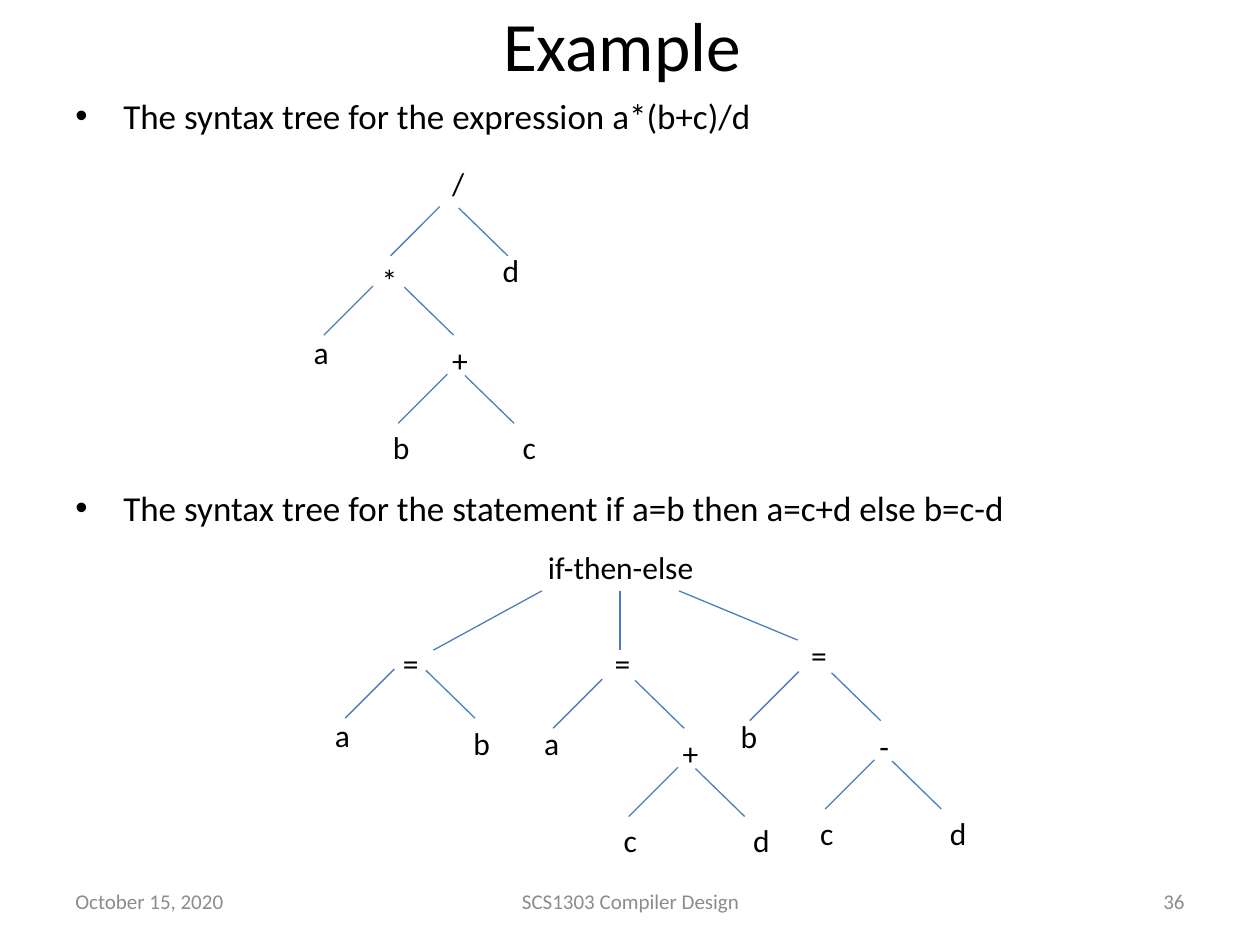
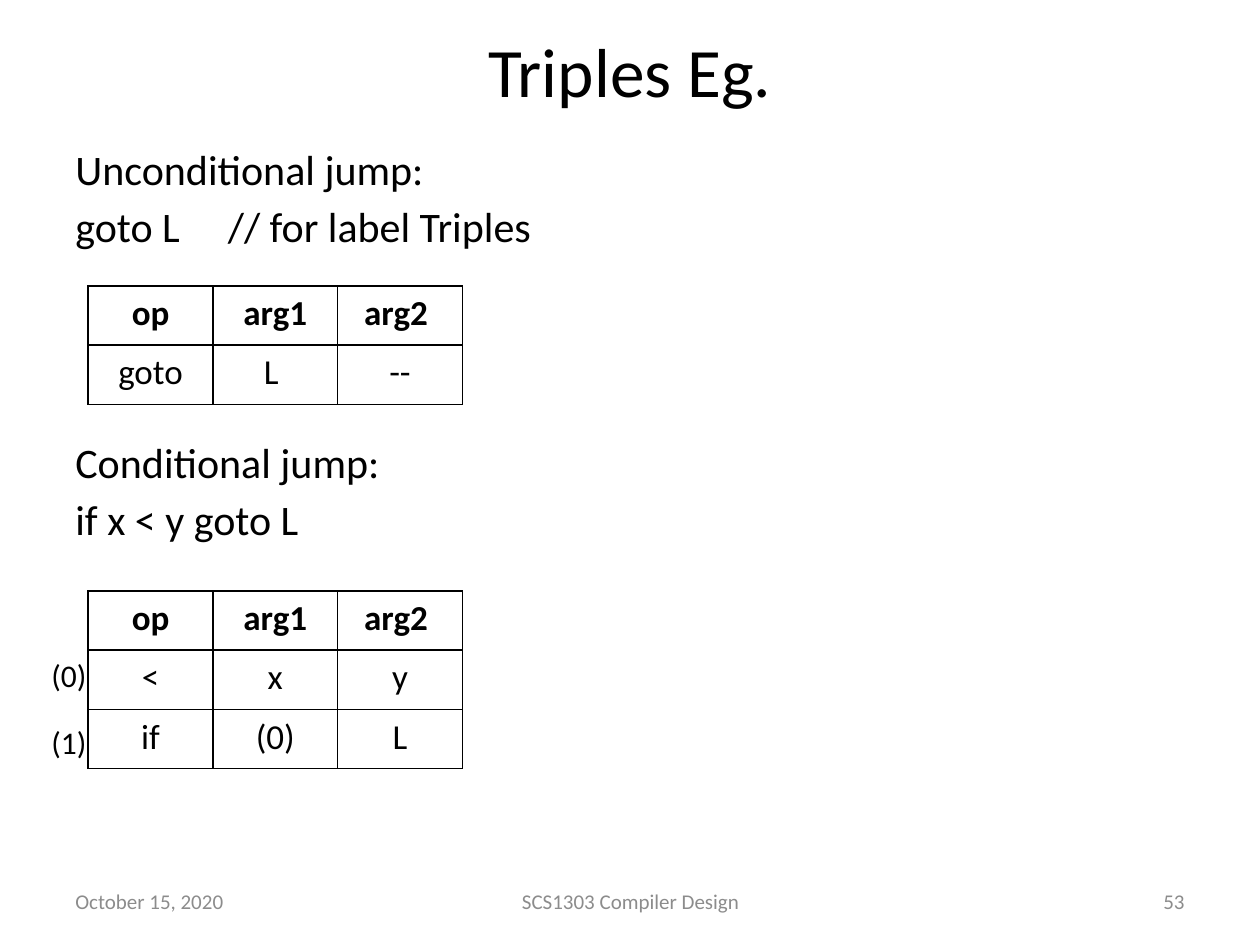
from collections import namedtuple

from lxml import etree
from pptx import Presentation
from pptx.dml.color import RGBColor
from pptx.enum.shapes import MSO_CONNECTOR
from pptx.enum.text import MSO_ANCHOR, MSO_AUTO_SIZE, PP_ALIGN
from pptx.oxml.ns import qn
from pptx.util import Inches, Pt

STRAIGHT = MSO_CONNECTOR.STRAIGHT
TOP, MIDDLE = MSO_ANCHOR.TOP, MSO_ANCHOR.MIDDLE
LEFT, CENTER, RIGHT, JUSTIFY = (
    PP_ALIGN.LEFT, PP_ALIGN.CENTER, PP_ALIGN.RIGHT, PP_ALIGN.JUSTIFY)
FIT_SHAPE = MSO_AUTO_SIZE.SHAPE_TO_FIT_TEXT

FONT = "Calibri"
COLORS = {"text": "000000", "footer": "8C8C8C", "branch": "4B7EBC", "border": "000000"}
LABEL_HEIGHT = 0.4
LABEL_WIDTHS = {"/": 0.3, "*": 0.33, "+": 0.33, "-": 0.28, "=": 0.33, "a": 0.32,
                "b": 0.34, "c": 0.31, "d": 0.34, "if-then-else": 1.38,
                "(0)": 0.48, "(1)": 0.48}
CELL_WIDTH, CELL_HEIGHT = 0.99, 0.47

Limb = namedtuple("Limb", "start run child")
Node = namedtuple("Node", "label limbs children", defaults=((), ()))


def fork(left_start, right_start, left_child, right_child):
    """Return the two limbs of a binary node, measured from its label box."""
    return (Limb(left_start, (-0.39, 0.39), left_child),
            Limb(right_start, (0.39, 0.38), right_child))


ROOT_FORK = fork((0, 0.39), (0.15, 0.4), (-0.56, 0.77), (0.4, 0.69))
HIGH_FORK = fork((0.03, 0.25), (0.28, 0.26), (-0.54, 0.57), (0.56, 0.64))
WIDE_FORK = fork((0, 0.33), (0.26, 0.34), (-0.56, 0.64), (0.54, 0.72))
LOW_FORK = fork((0.06, 0.31), (0.2, 0.32), (-0.47, 0.69), (0.56, 0.69))
IF_FORK = (Limb((0.05, 0.39), (-0.86, 0.47), (-1.15, 0.76)),
           Limb((0.67, 0.39), (0, 0.47), (0.53, 0.76)),
           Limb((1.14, 0.39), (0.94, 0.39), (2.09, 0.7)))

EXPRESSION_TREE = Node("/", ROOT_FORK, (
    Node("*", HIGH_FORK, (
        Node("a"),
        Node("+", LOW_FORK, (Node("b"), Node("c"))))),
    Node("d")))
STATEMENT_TREE = Node("if-then-else", IF_FORK, (
    Node("=", HIGH_FORK, (Node("a"), Node("b"))),
    Node("=", WIDE_FORK, (
        Node("a"),
        Node("+", LOW_FORK, (Node("c"), Node("d"))))),
    Node("=", WIDE_FORK, (
        Node("b"),
        Node("-", LOW_FORK, (Node("c"), Node("d")))))))


def style_para(para, size, color="text", align=LEFT, bold=False):
    """Set the font and alignment of one paragraph."""
    para.alignment = align
    para.font.name = FONT
    para.font.size = Pt(size)
    para.font.bold = bold
    para.font.color.rgb = RGBColor.from_string(COLORS[color])


def add_text(shapes, box, text, size, color="text", align=LEFT, anchor=TOP):
    """Add a wrapping one-paragraph text box and return its frame."""
    frame = shapes.add_textbox(*map(Inches, box)).text_frame
    frame.word_wrap = True
    frame.vertical_anchor = anchor
    frame.text = text
    style_para(frame.paragraphs[0], size, color, align)
    return frame


def add_label(shapes, left, top, text):
    """Add a short label that does not wrap."""
    box = (left, top, LABEL_WIDTHS[text], LABEL_HEIGHT)
    frame = add_text(shapes, box, text, 18)
    frame.word_wrap = False
    frame.auto_size = FIT_SHAPE


def add_frame(deck, title, title_box, number):
    """Add a page with its title and footer."""
    page = deck.slides.add_slide(deck.slide_layouts[6])
    add_text(page.shapes, title_box, title, 39.6, align=CENTER, anchor=MIDDLE)
    footers = ((0.5, 2.33, "October 15, 2020", LEFT),
               (3.42, 3.17, "SCS1303 Compiler Design", CENTER),
               (7.17, 2.33, str(number), RIGHT))
    for left, width, text, align in footers:
        add_text(page.shapes, (left, 6.95, width, 0.4), text, 12, "footer", align, MIDDLE)
    return page


def add_bullet(para):
    """Give a paragraph a hanging round bullet."""
    props = para._p.get_or_add_pPr()
    props.set("marL", str(Inches(0.38)))
    props.set("indent", str(Inches(-0.38)))
    etree.SubElement(props, qn("a:buFont"), typeface="Arial")
    etree.SubElement(props, qn("a:buChar"), char="•")


def add_tab_stop(para, position):
    """Set one left tab stop in a paragraph."""
    stops = etree.SubElement(para._p.get_or_add_pPr(), qn("a:tabLst"))
    etree.SubElement(stops, qn("a:tab"), pos=str(Inches(position)), algn="l")


def add_body(page, box, lines, size, bulleted=False, tab=None):
    """Add body lines, each given with its space before in points."""
    frame = page.shapes.add_textbox(*map(Inches, box)).text_frame
    frame.word_wrap = True
    for index, (text, space) in enumerate(lines):
        para = frame.add_paragraph() if index else frame.paragraphs[0]
        para.text = text
        para.space_before = Pt(space)
        if bulleted:
            add_bullet(para)
        if "\t" in text:
            add_tab_stop(para, tab)
        style_para(para, size, align=JUSTIFY)


def add_branch(shapes, left, top, limb):
    """Draw one branch of the node placed at left and top."""
    x, y = left + limb.start[0], top + limb.start[1]
    ends = (x, y, x + limb.run[0], y + limb.run[1])
    branch = shapes.add_connector(STRAIGHT, *map(Inches, ends))
    branch.line.color.rgb = RGBColor.from_string(COLORS["branch"])
    branch.line.width = Pt(0.75)
    etree.SubElement(branch._element.spPr, qn("a:effectLst"))


def add_tree(shapes, left, top, node):
    """Draw a node at left and top, then its subtrees."""
    add_label(shapes, left, top, node.label)
    for limb, child in zip(node.limbs, node.children):
        add_branch(shapes, left, top, limb)
        add_tree(shapes, left + limb.child[0], top + limb.child[1], child)


def style_cell(cell, bold):
    """Give a cell thin borders, no fill and centred text."""
    props = cell._tc.get_or_add_tcPr()
    for side in ("lnL", "lnR", "lnT", "lnB"):
        border = etree.SubElement(props, qn(f"a:{side}"), w=str(Pt(1)))
        fill = etree.SubElement(border, qn("a:solidFill"))
        etree.SubElement(fill, qn("a:srgbClr"), val=COLORS["border"])
    cell.fill.background()
    style_para(cell.text_frame.paragraphs[0], 20, align=CENTER, bold=bold)


def add_triples(page, left, top, triples):
    """Add a table of triples under its header row."""
    rows = (("op", "arg1", "arg2 "), *triples)
    size = (CELL_WIDTH * len(rows[0]), CELL_HEIGHT * len(rows))
    table = page.shapes.add_table(
        len(rows), len(rows[0]), *map(Inches, (left, top, *size))).table
    table.first_row = table.horz_banding = False
    for column in table.columns:
        column.width = Inches(CELL_WIDTH)
    for index, values in enumerate(rows):
        table.rows[index].height = Inches(CELL_HEIGHT)
        for cell, value in zip(table.rows[index].cells, values):
            cell.text = value
            style_cell(cell, bold=index == 0)


def build_syntax_trees(deck):
    """Build the page with two syntax trees."""
    page = add_frame(deck, "Example ", (0.5, 0.07, 9, 0.56), 36)
    lines = (("The syntax tree for the expression a*(b+c)/d", 0),
             ("The syntax tree for the statement if a=b then a=c+d else b=c-d", 200))
    add_body(page, (0.5, 0.7, 9.19, 6.17), lines, 20, bulleted=True)
    for left, top, tree in ((3.49, 1.25, EXPRESSION_TREE), (4.25, 4.3, STATEMENT_TREE)):
        add_tree(page.shapes.add_group_shape().shapes, left, top, tree)


def build_triples(deck):
    """Build the page with triples for jumps."""
    page = add_frame(deck, "Triples Eg.", (0.5, 0.16, 9, 0.79), 53)
    lines = (("Unconditional jump:", 0), ("goto L\t// for label Triples", 4),
             ("Conditional jump:", 105.5), ("if x < y goto L", 4))
    add_body(page, (0.5, 1.09, 9, 5.61), lines, 24, tab=1.21)
    add_triples(page, 0.7, 2.27, (("goto", "L ", "--"),))
    add_triples(page, 0.7, 4.69, (("<", "x", "y"), ("if", "(0)", "L")))
    for index, top in enumerate((5.16, 5.69)):
        add_label(page.shapes, 0.31, top, f"({index})")


def main():
    """Build and save the deck."""
    deck = Presentation()
    deck.slide_width, deck.slide_height = Inches(10), Inches(7.5)
    build_syntax_trees(deck)
    build_triples(deck)
    deck.save("out.pptx")


if __name__ == "__main__":
    main()
